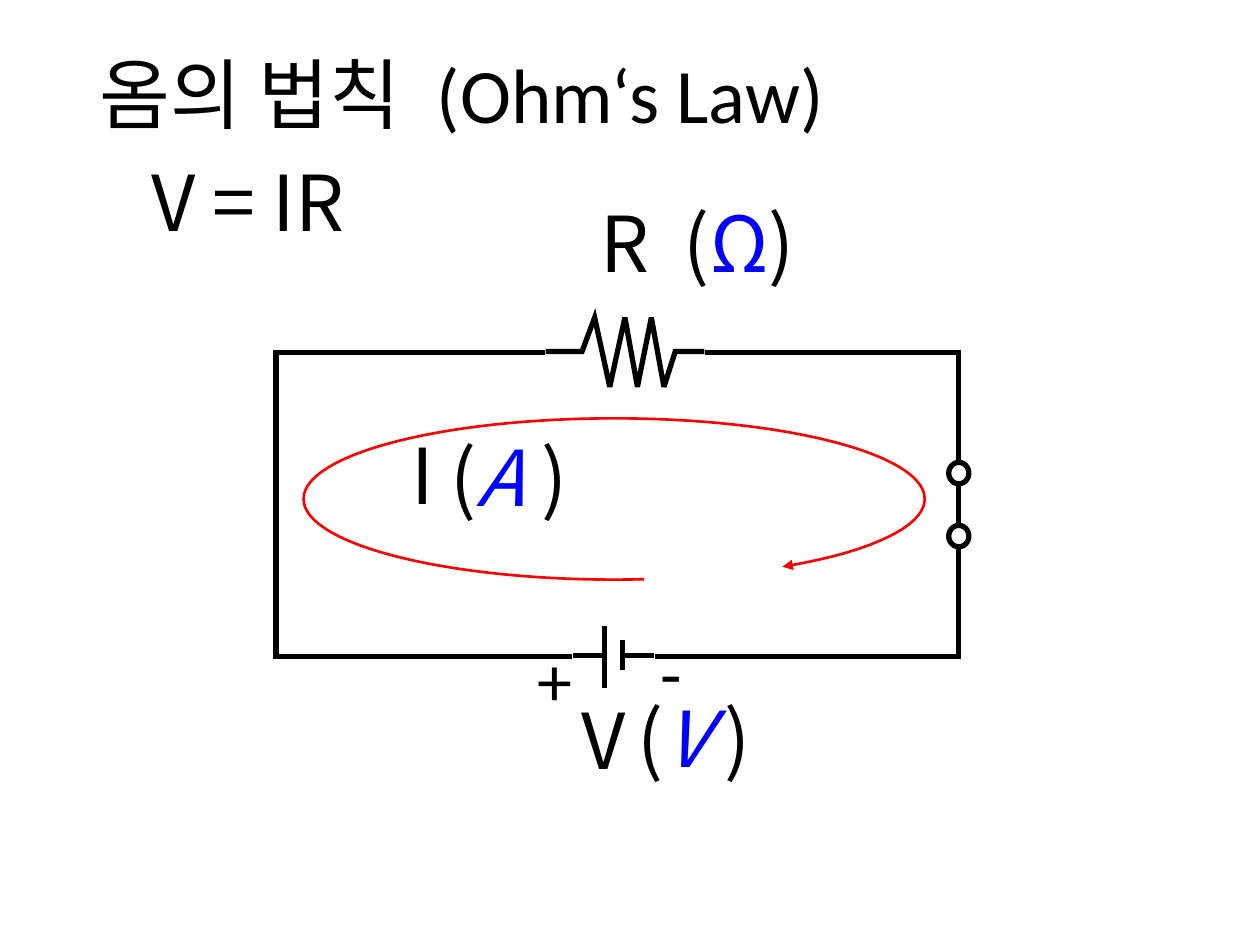
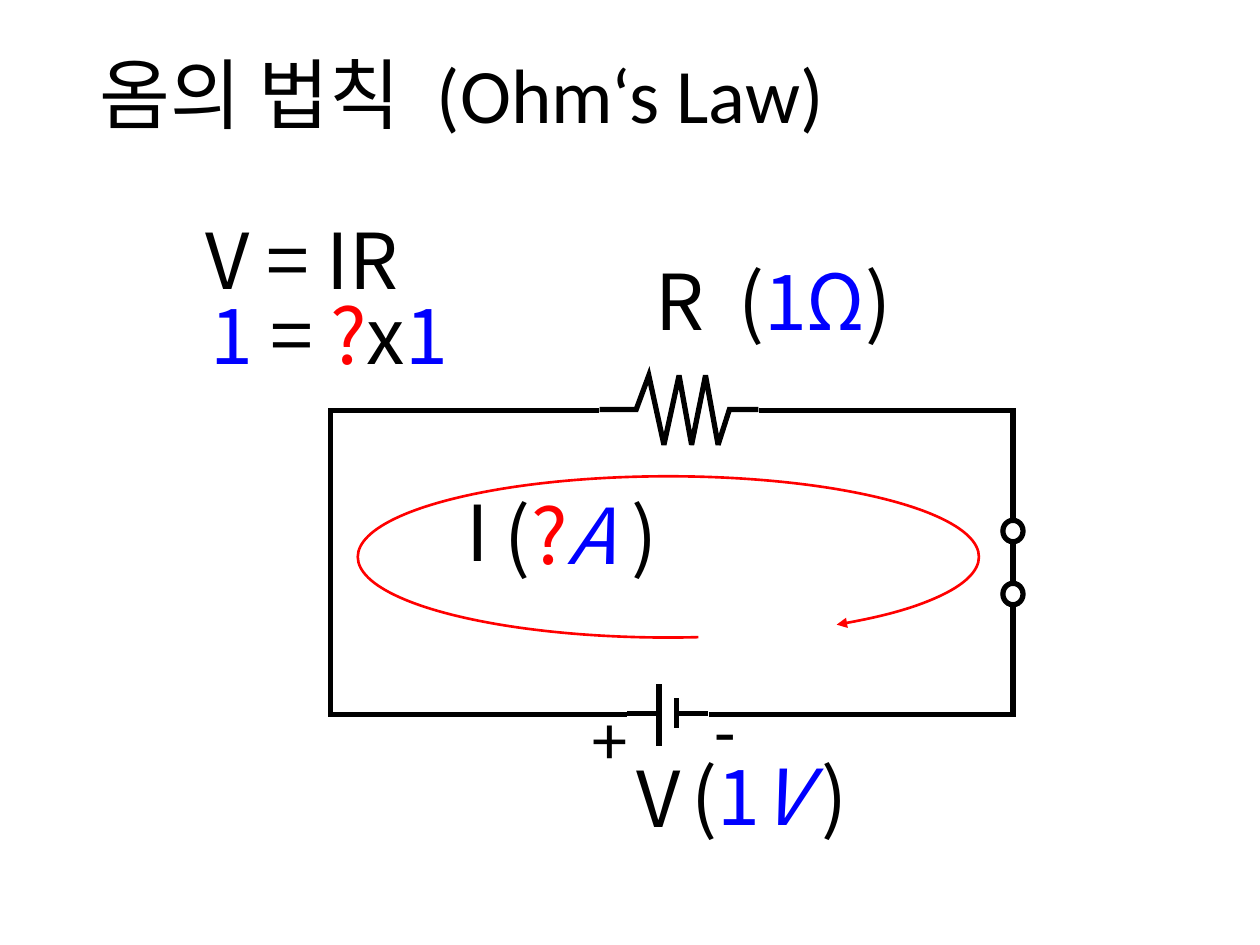
from lxml.etree import SubElement
from pptx import Presentation
from pptx.dml.color import RGBColor
from pptx.enum.shapes import MSO_CONNECTOR as Connector, MSO_SHAPE as Shape
from pptx.enum.text import MSO_AUTO_SIZE as AutoSize
from pptx.oxml.ns import qn
from pptx.util import Inches, Pt

COLOURS = {"ink": "000000", "paper": "FFFFFF", "unit": "0000FF", "flow": "FF0000"}
TITLE_FONT, LABEL_FONT = "Calibri", "Noto Sans CJK KR"
LABEL_HEIGHT, SIGN_HEIGHT = 0.84, 0.77

# A run is (text, colour, italic).
OPEN, CLOSE = ("(", "ink", False), (")", "ink", False)
OHM_LAW = [("V = IR", "ink", False)]
AMPERE, VOLT = ("A ", "unit", True), ("V ", "unit", True)
ONE, UNKNOWN = ("1", "unit", False), ("?", "flow", False)
TITLE = ["옴의 법칙", " ", "(Ohm‘s Law)"]
TITLE_BOX = (0.69, 0.4, 8.62, 1.45)
TITLE_GAP = 11  # points added to the space before the English name

# Everything below is placed from the top left corner of the circuit, in inches.
SLIDES = [
    {
        "origin": (2.19, 2.8),
        "values": [
            (3.14, -1.3, 1.38, [OPEN, ("Ω", "unit", False), CLOSE]),
            (1.29, 0.56, 1.49, [OPEN, AMPERE, CLOSE]),
            (2.77, 2.63, 1.46, [OPEN, VOLT, CLOSE]),
        ],
    },
    {
        "origin": (2.62, 3.26),
        "values": [
            (3.14, -1.3, 1.79, [OPEN, ("1Ω", "unit", False), CLOSE]),
            (1.29, 0.56, 1.9, [OPEN, UNKNOWN, AMPERE, CLOSE]),
            (2.77, 2.63, 1.87, [OPEN, ONE, VOLT, CLOSE]),
            (-1.05, -1.03, 2.69,
             [ONE, (" = ", "ink", False), UNKNOWN, ("x", "ink", False), ONE]),
        ],
    },
]
SYMBOLS = [
    (2.48, -1.3, 0.69, [("R", "ink", False)]),
    (2.33, 2.65, 0.69, [("V", "ink", False)]),
    (0.98, 0.54, 0.48, [("I", "ink", False)]),
    (-1.09, -1.62, 2.31, OHM_LAW),
]
POLES = [
    (1.98, 2.2, 0.48, [("+", "ink", False)]),
    (2.95, 2.15, 0.37, [("-", "ink", False)]),
]
LOOP = (0, 0, 5.42, 2.41)
CURRENT, CURRENT_ANGLES = (0.22, 0.52, 4.93, 1.28), (41.719, 13.158)
SWITCH_GAP = (5.34, 0.87, 0.16, 0.67)
CONTACTS = [(5.34, top, 0.16, 0.17) for top in (0.87, 1.37)]
SWITCH_BLADE = (5.42, 1.04, 5.42, 1.37)
RESISTOR_GAP = (2.14, -0.38, 1.26, 0.74)
ZIGZAG_X = (2.14, 2.43, 2.53, 2.65, 2.77, 2.87, 2.98, 3.08, 3.17, 3.4)
ZIGZAG_Y = (-0.01, -0.01, *(-0.28, 0.27) * 3, -0.01, -0.01)
BATTERY_GAP = (2.36, 2.17, 0.64, 0.49)
BATTERY_LINES = [
    (2.61, 2.17, 2.61, 2.66),
    (2.75, 2.28, 2.75, 2.52),
    (2.75, 2.4, 3, 2.4),
    (2.36, 2.4, 2.6, 2.4),
]


def colour(name):
    return RGBColor.from_string(COLOURS[name])


def style_outline(shape, line="ink", width=3, fill=None):
    shape.shadow.inherit = False
    if fill:
        shape.fill.solid()
        shape.fill.fore_color.rgb = colour(fill)
    else:
        shape.fill.background()
    shape.line.color.rgb = colour(line)
    shape.line.width = Pt(width)
    SubElement(shape.line._get_or_add_ln(), qn("a:miter"), lim="800000")


def style_run(run, size, font, colour_name="ink", italic=False):
    run.font.size = Pt(size)
    run.font.name = font
    run.font.italic = italic
    run.font.color.rgb = colour(colour_name)
    SubElement(run._r.get_or_add_rPr(), qn("a:ea"), typeface=LABEL_FONT)


def add_title(slide):
    frame = slide.shapes.add_textbox(*map(Inches, TITLE_BOX)).text_frame
    frame.word_wrap = True
    paragraph = frame.paragraphs[0]
    paragraph.line_spacing = 0.9
    for text in TITLE:
        run = paragraph.add_run()
        run.text = text
        style_run(run, 44, TITLE_FONT)
        if text == " ":
            run._r.get_or_add_rPr().set("spc", str(TITLE_GAP * 100))


class Circuit:
    """Draws parts on a slide, measured from the circuit's top left corner."""

    def __init__(self, slide, origin):
        self.shapes = slide.shapes
        self.left, self.top = origin

    def point(self, x, y):
        return Inches(self.left + x), Inches(self.top + y)

    def outline(self, kind, box, **style):
        x, y, width, height = box
        shape = self.shapes.add_shape(
            kind, *self.point(x, y), Inches(width), Inches(height))
        style_outline(shape, **style)
        return shape

    def gap(self, box):
        """Blank out the stretch of wire that a component replaces."""
        self.outline(Shape.RECTANGLE, box, line="paper", width=1, fill="paper")

    def wire(self, ends):
        connector = self.shapes.add_connector(
            Connector.STRAIGHT, *self.point(*ends[:2]), *self.point(*ends[2:]))
        connector.line.color.rgb = colour("ink")
        connector.line.width = Pt(3)
        SubElement(connector._element.spPr, qn("a:effectLst"))

    def label(self, entry, height=LABEL_HEIGHT, size=44, font=LABEL_FONT):
        x, y, width, runs = entry
        frame = self.shapes.add_textbox(
            *self.point(x, y), Inches(width), Inches(height)).text_frame
        frame.word_wrap = False
        frame.auto_size = AutoSize.SHAPE_TO_FIT_TEXT
        for text, colour_name, italic in runs:
            run = frame.paragraphs[0].add_run()
            run.text = text
            style_run(run, size, font, colour_name, italic)

    def draw_switch(self):
        self.gap(SWITCH_GAP)
        for contact in CONTACTS:
            self.outline(Shape.OVAL, contact)
        self.wire(SWITCH_BLADE)

    def draw_current(self):
        arc = self.outline(Shape.ARC, CURRENT, line="flow", width=1.5)
        for index, angle in enumerate(CURRENT_ANGLES):
            arc.adjustments[index] = angle
        SubElement(arc.line._get_or_add_ln(), qn("a:tailEnd"), type="triangle")

    def draw_resistor(self):
        self.gap(RESISTOR_GAP)
        start, *others = [self.point(x, y) for x, y in zip(ZIGZAG_X, ZIGZAG_Y)]
        builder = self.shapes.build_freeform(*start)
        builder.add_line_segments(others, close=False)
        style_outline(builder.convert_to_shape())

    def draw_battery(self):
        self.gap(BATTERY_GAP)
        for ends in BATTERY_LINES:
            self.wire(ends)

    def draw(self, values):
        self.outline(Shape.RECTANGLE, LOOP)
        for pole in POLES:
            self.label(pole, SIGN_HEIGHT, 40, TITLE_FONT)
        self.draw_switch()
        self.draw_current()
        self.draw_resistor()
        self.draw_battery()
        for entry in SYMBOLS + values:
            self.label(entry)


def main():
    presentation = Presentation()
    presentation.slide_width, presentation.slide_height = Inches(10), Inches(7.5)
    for content in SLIDES:
        slide = presentation.slides.add_slide(presentation.slide_layouts[6])
        add_title(slide)
        Circuit(slide, content["origin"]).draw(content["values"])
    presentation.save("out.pptx")


if __name__ == "__main__":
    main()
